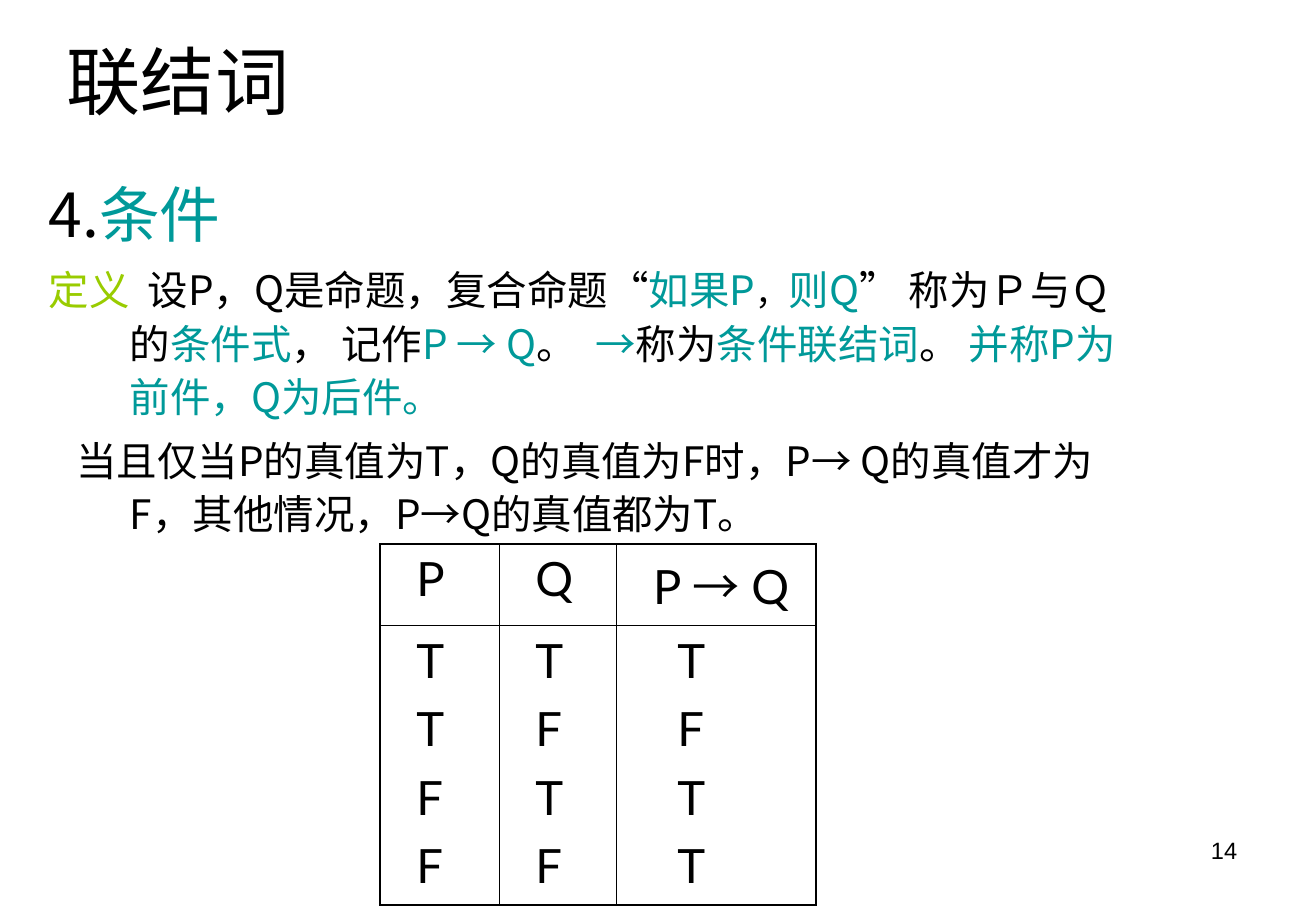
from dataclasses import dataclass

from lxml.etree import SubElement
from pptx import Presentation
from pptx.dml.color import RGBColor
from pptx.enum.text import MSO_ANCHOR, MSO_AUTO_SIZE, PP_ALIGN
from pptx.oxml.ns import qn
from pptx.util import Inches, Pt


@dataclass(frozen=True)
class Theme:
    ink: str = "000000"
    teal: str = "009999"
    green: str = "99CC00"
    sans: str = "Arial"
    chinese: str = "Noto Sans CJK SC"
    letters: str = "Lato"
    title: int = 44
    heading: int = 36
    table: int = 28
    body: int = 24
    comma: int = 20
    number: int = 14
    outer_line: float = 1.08
    inner_line: float = 0.45


THEME = Theme()

WIDE_SPACE = (" ", {"spacing": 5.5})
DEFINITION = [
    ("定义", {"color": THEME.green}),
    WIDE_SPACE,
    ("设P，Q是命题，复合命题", {}),
    ("“", {"name": THEME.sans}),
    ("如果P", {"color": THEME.teal}),
    ("，", {"name": THEME.sans, "size": THEME.comma}),
    ("则Q", {"color": THEME.teal}),
    ("” ", {"name": THEME.sans}),
    ("称为Ｐ与Ｑ的", {}),
    ("条件式", {"color": THEME.teal}),
    ("， 记作", {}),
    ("P → Q", {"color": THEME.teal}),
    ("。", {}),
    WIDE_SPACE,
    ("→", {"color": THEME.teal}),
    ("称为", {}),
    ("条件联结词", {"color": THEME.teal}),
    ("。 ", {}),
    ("并称P为前件，Q为后件。", {"color": THEME.teal}),
]
TRUTH_RULE = "当且仅当P的真值为T，Q的真值为F时，P→ Q的真值才为F，其他情况，P→Q的真值都为T。"

# Header runs, truth values, header indent and value indent of each column
TRUTH_COLUMNS = [
    ([("P", {})], "TTFF", 0.2, 0.2),
    ([("Q", {})], "TFTF", 0.2, 0.2),
    ([("P ", {}), ("→", {"name": THEME.chinese}), (" Q", {})], "TFTT", 0.2, 0.4),
]


def set_values(target, values):
    for name, value in values.items():
        setattr(target, name, value)


def place(shape, left, top, width, height):
    set_values(shape, {"left": Inches(left), "top": Inches(top),
                       "width": Inches(width), "height": Inches(height)})


def set_indent(paragraph, left, first_line=0):
    """Set the left margin and first-line offset, without a bullet."""
    properties = paragraph._p.get_or_add_pPr()
    properties.set("marL", str(Inches(left)))
    properties.set("indent", str(Inches(first_line)))
    SubElement(properties, qn("a:buNone"))


def add_runs(paragraph, runs, size, name, color=THEME.ink):
    """Add (text, changes) runs; changes override size, name, color or spacing."""
    for text, changes in runs:
        look = {"size": size, "name": name, "color": color, "spacing": 0, **changes}
        run = paragraph.add_run()
        run.text = text
        run.font.color.rgb = RGBColor.from_string(look["color"])
        set_values(run.font, {"size": Pt(look["size"]), "name": look["name"]})
        properties = run._r.get_or_add_rPr()
        SubElement(properties, qn("a:ea"), typeface=THEME.chinese)
        if look["spacing"]:
            properties.set("spc", str(int(look["spacing"] * 100)))


def next_paragraph(frame, index):
    return frame.add_paragraph() if index else frame.paragraphs[0]


def fill_title(shape):
    place(shape, 0.45, 0.28, 8.34, 0.76)
    set_values(shape.text_frame, {"vertical_anchor": MSO_ANCHOR.MIDDLE,
                                  "auto_size": MSO_AUTO_SIZE.NONE})
    paragraph = shape.text_frame.paragraphs[0]
    paragraph.alignment = PP_ALIGN.LEFT
    add_runs(paragraph, [("联结词", {})], THEME.title, THEME.sans)


def fill_body(shape):
    place(shape, 0.3, 1.47, 9.13, 4.5)
    frame = shape.text_frame
    frame.auto_size = MSO_AUTO_SIZE.NONE
    content = [
        ([("4.", {}), ("条件", {"color": THEME.teal})], THEME.heading, 0.9, 0, -0.67),
        (DEFINITION, THEME.body, 1.1, 6, -0.67),
        ([(TRUTH_RULE, {})], THEME.body, 1.1, 6, -0.44),
    ]
    for index, (runs, size, line_spacing, before, first_line) in enumerate(content):
        paragraph = next_paragraph(frame, index)
        set_indent(paragraph, 0.67, first_line)
        set_values(paragraph, {"line_spacing": line_spacing, "space_before": Pt(before)})
        add_runs(paragraph, runs, size, THEME.chinese)


def set_borders(cell, outer_sides):
    properties = cell._tc.get_or_add_tcPr()
    for side in "LRTB":
        width = THEME.outer_line if side in outer_sides else THEME.inner_line
        line = SubElement(properties, qn(f"a:ln{side}"), w=str(Pt(width)))
        fill = SubElement(line, qn("a:solidFill"))
        SubElement(fill, qn("a:srgbClr"), val=THEME.ink)


def fill_cell(cell, lines, indent, outer_sides):
    set_borders(cell, outer_sides)
    cell.fill.background()
    set_values(cell, {"margin_left": Inches(0.1), "margin_right": Inches(0.1),
                      "margin_top": Inches(0.05), "margin_bottom": Inches(0.05)})
    for index, runs in enumerate(lines):
        paragraph = next_paragraph(cell.text_frame, index)
        set_indent(paragraph, indent)
        paragraph.space_before = Pt(7 if index else 0)
        add_runs(paragraph, runs, THEME.table, THEME.letters)


def add_truth_table(slide):
    table = slide.shapes.add_table(2, 3, Inches(3.13), Inches(4.48),
                                   Inches(3.59), Inches(2.97)).table
    set_values(table, {"first_row": False, "horz_banding": False})
    for row, height in zip(table.rows, (0.67, 2.3)):
        row.height = Inches(height)
    for column, width in zip(table.columns, (0.98, 0.97, 1.64)):
        column.width = Inches(width)
    for index, (header, values, header_indent, value_indent) in enumerate(TRUTH_COLUMNS):
        edge = ("L", "", "R")[index]
        fill_cell(table.cell(0, index), [header], header_indent, edge + "T")
        value_lines = [[(value, {})] for value in values]
        fill_cell(table.cell(1, index), value_lines, value_indent, edge + "B")


def add_slide_number(slide):
    box = slide.shapes.add_textbox(Inches(8.41), Inches(6.83), Inches(1.88), Inches(0.52))
    box.text_frame.word_wrap = True
    paragraph = box.text_frame.paragraphs[0]
    paragraph.alignment = PP_ALIGN.RIGHT
    add_runs(paragraph, [("14", {})], THEME.number, THEME.sans)


def main():
    presentation = Presentation()
    set_values(presentation, {"slide_width": Inches(10.84), "slide_height": Inches(7.5)})
    slide = presentation.slides.add_slide(presentation.slide_layouts[1])
    fill_title(slide.shapes.title)
    fill_body(slide.placeholders[1])
    add_truth_table(slide)
    add_slide_number(slide)
    presentation.save("out.pptx")


if __name__ == "__main__":
    main()
